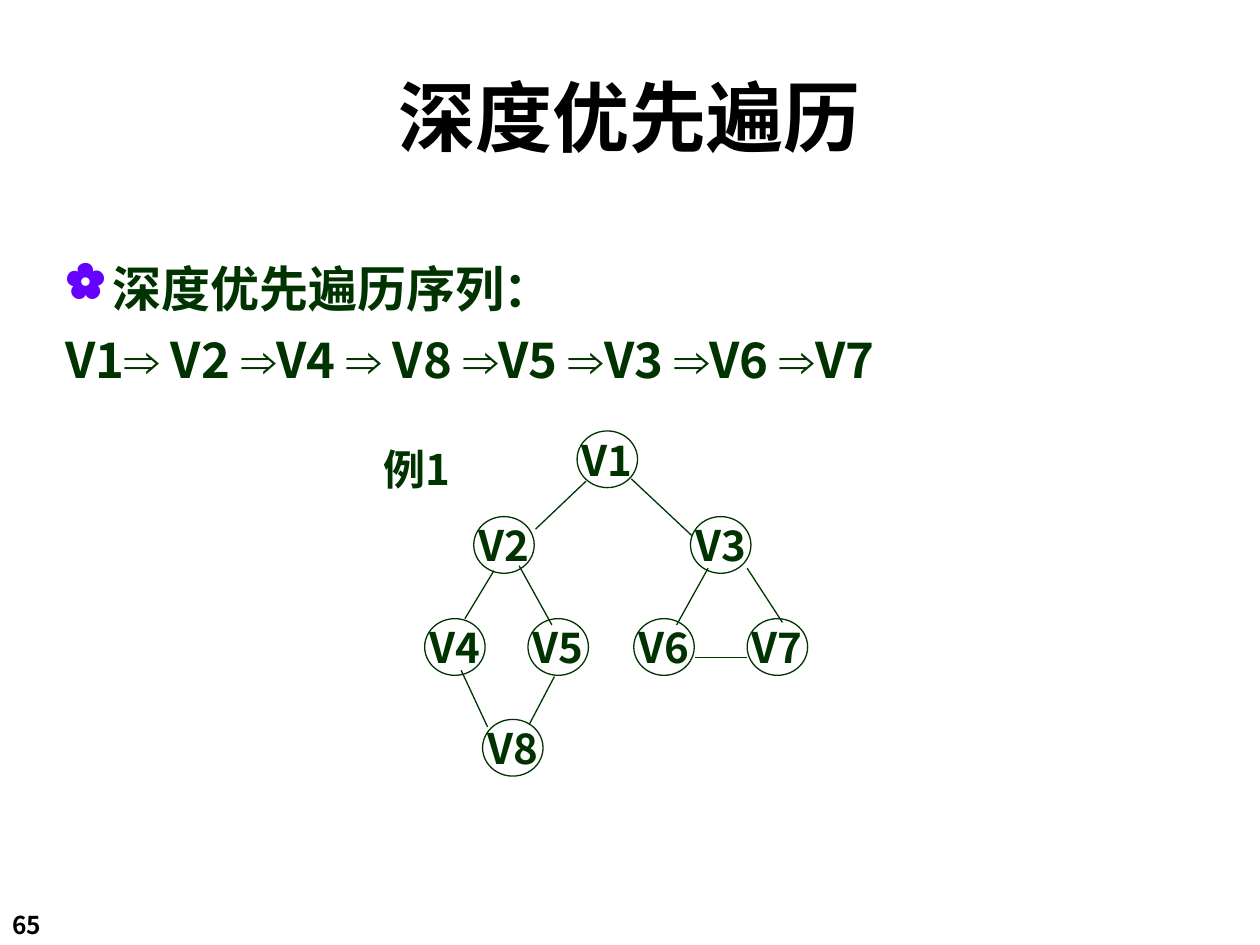
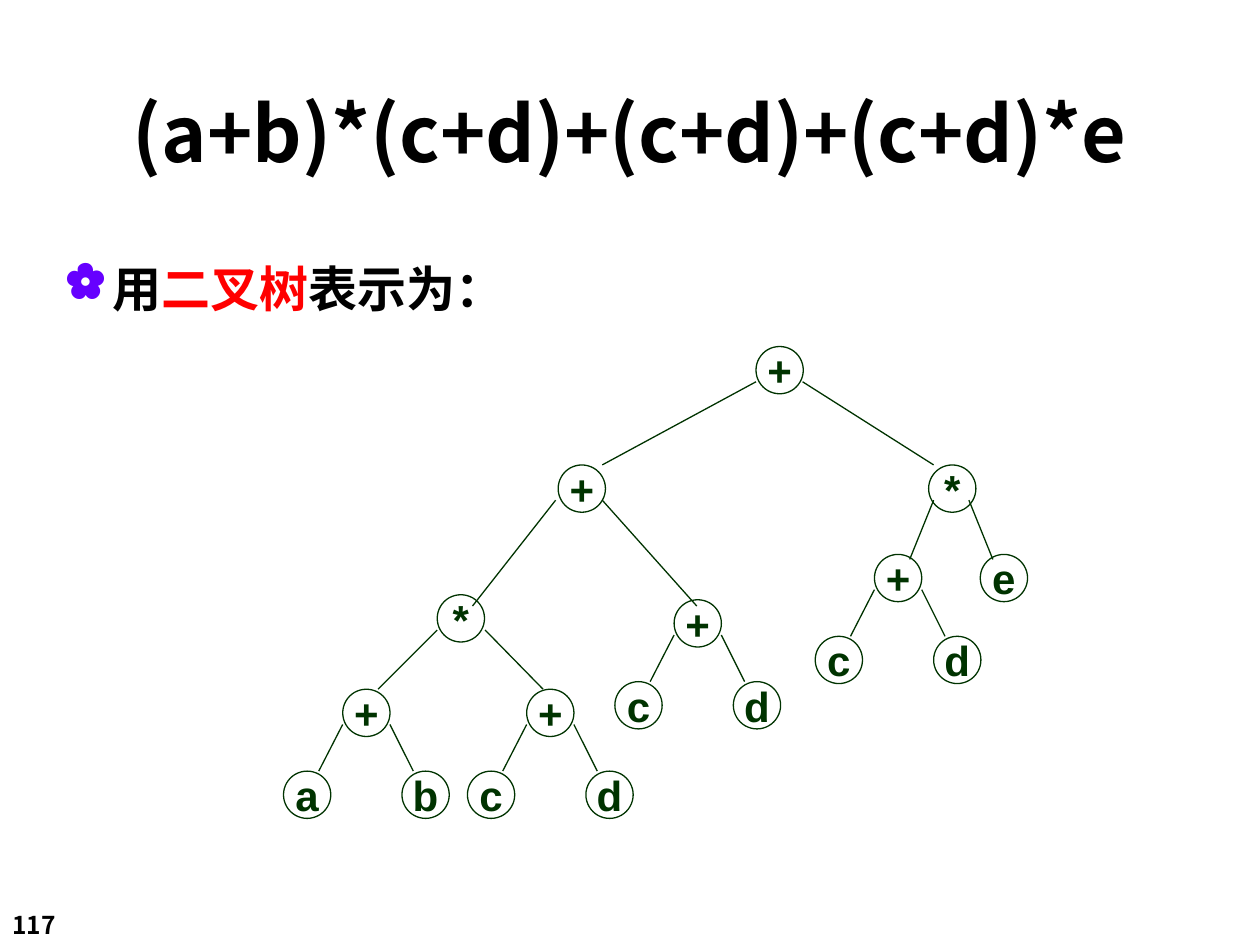
from dataclasses import dataclass

from lxml import etree
from pptx import Presentation
from pptx.dml.color import RGBColor
from pptx.enum.shapes import MSO_CONNECTOR, MSO_SHAPE
from pptx.enum.text import MSO_ANCHOR, PP_ALIGN
from pptx.oxml.ns import qn
from pptx.util import Inches, Pt

LEFT, CENTER = PP_ALIGN.LEFT, PP_ALIGN.CENTER
TOP, MIDDLE = MSO_ANCHOR.TOP, MSO_ANCHOR.MIDDLE
OVAL, CIRCLE = MSO_SHAPE.OVAL, MSO_SHAPE.FLOWCHART_CONNECTOR
STRAIGHT = MSO_CONNECTOR.STRAIGHT


@dataclass(frozen=True)
class Theme:
    black: str = "000000"
    green: str = "003300"
    red: str = "FF0000"
    violet: str = "6600FF"
    cjk: str = "Noto Sans CJK SC"
    latin: str = "Arial"
    title_size: int = 44
    body_size: int = 28
    node_size: int = 24
    page_size: int = 14
    line_width: float = 0.75


theme = Theme()
deck = Presentation()
deck.slide_width, deck.slide_height = Inches(10), Inches(7.5)
cell = deck.slide_width / 100  # square grid: 100 columns by 75 rows


def grid(*cells):
    return [round(count * cell) for count in cells]


def fill_text(box, paragraphs, size, align=LEFT, anchor=TOP, wrap=True):
    """Write paragraphs, each a list of (text, colour, font) spans."""
    frame = box.text_frame
    frame.word_wrap, frame.vertical_anchor = wrap, anchor
    for index, spans in enumerate(paragraphs):
        para = frame.add_paragraph() if index else frame.paragraphs[0]
        para.alignment = align
        for text, colour, face in spans:
            span = para.add_run()
            span.text = text
            for name, value in {"size": Pt(size), "bold": True, "name": face}.items():
                setattr(span.font, name, value)
            span.font.color.rgb = RGBColor.from_string(colour)
            east_asian = etree.SubElement(span.font._element, qn("a:ea"))
            east_asian.set("typeface", face)
    return frame


# Graph for the depth-first traversal: node corners and edges in grid cells
graph_nodes = [
    ("V1", 45.8, 34.2),
    ("V2", 37.6, 41), ("V3", 54.8, 41),
    ("V4", 33.7, 49.1), ("V5", 41.9, 49.1), ("V6", 50.3, 49.1), ("V7", 59.3, 49.1),
    ("V8", 38.3, 57.1),
]
graph_edges = [
    (46.5, 38.2, 42.5, 42), (50.1, 38, 54.9, 42.5),
    (39.2, 45.3, 36.9, 49.1), (41.2, 44.9, 43.8, 49.6),
    (36.6, 53.2, 38.7, 57.7), (44, 53.7, 42, 57.5),
    (56.2, 45.1, 53.7, 49.6), (55.2, 52.2, 59.3, 52.2), (59.3, 45.1, 62.1, 49.4),
]

# Expression tree: upper operators, then each sum of two leaves by rule
tree_nodes = [
    ("+", 60, 27.5), ("+", 44.3, 36.9), ("*", 73.7, 36.9),
    ("*", 34.7, 47.2), ("e", 77.8, 44),
]
tree_edges = [
    (60, 30.3, 47.8, 36.9), (63.7, 30.3, 74.1, 36.9),
    (44.1, 39.7, 37.5, 48.1), (47.8, 39.7, 55.3, 48.1),
    (74.1, 39.7, 72.2, 44.4), (76.9, 39.7, 78.8, 44.4),
    (34.7, 50, 30, 54.7), (38.5, 50, 43.1, 54.7),
]
for x, y, left_leaf, right_leaf in [
    (27.2, 54.7, "a", "b"), (41.8, 54.7, "c", "d"),
    (53.5, 47.6, "c", "d"), (69.4, 44, "c", "d"),
]:
    tree_nodes += [("+", x, y), (left_leaf, x - 4.7, y + 6.5), (right_leaf, x + 4.7, y + 6.5)]
    tree_edges += [(x, y + 2.8, x - 1.9, y + 6.5), (x + 3.75, y + 2.8, x + 5.6, y + 6.5)]

# Visiting order, with the arrows set in the Latin face
visits = ["V1", " V2 ", "V4 ", " V8 ", "V5 ", "V3 ", "V6 ", "V7"]
sequence = [(visits[0], theme.green, theme.cjk)]
for visit in visits[1:]:
    sequence += [("⇒", theme.green, theme.latin), (visit, theme.green, theme.cjk)]

pages = [
    {
        "number": "65",
        "title": "深度优先遍历", "title_at": (4.2, 4.2, 91.6, 10),
        "body": [[("深度优先遍历序列：", theme.green, theme.cjk)], sequence],
        "body_at": (4.2, 20, 91.6, 13.3),
        "nodes": graph_nodes, "edges": graph_edges,
        "outline": OVAL, "node_extent": (4.8, 4.5), "node_font": theme.cjk,
        "caption": "例1",
    },
    {
        "number": "117",
        "title": "(a+b)*(c+d)+(c+d)+(c+d)*e", "title_at": (4.2, 6.7, 91.6, 7.5),
        "body": [[("用", theme.black, theme.cjk), ("二叉树", theme.red, theme.cjk),
                  ("表示为：", theme.black, theme.cjk)]],
        "body_at": (4.2, 20, 42.5, 6.6),
        "nodes": tree_nodes, "edges": tree_edges,
        "outline": CIRCLE, "node_extent": (3.75, 3.75), "node_font": theme.latin,
        "caption": None,
    },
]

for page in pages:
    slide = deck.slides.add_slide(deck.slide_layouts[6])
    shapes = slide.shapes

    number_box = shapes.add_textbox(*grid(0, 71.7, 8.3, 3.4))
    fill_text(number_box, [[(page["number"], theme.black, theme.cjk)]], theme.page_size)

    title_box = shapes.add_textbox(*grid(*page["title_at"]))
    fill_text(title_box, [[(page["title"], theme.black, theme.cjk)]],
              theme.title_size, CENTER, MIDDLE)

    body_box = shapes.add_textbox(*grid(*page["body_at"]))
    body = fill_text(body_box, page["body"], theme.body_size)
    indent = grid(3.75)[0]
    for index, para in enumerate(body.paragraphs):
        properties = para._p.get_or_add_pPr()
        properties.set("marL", str(indent))
        properties.set("indent", str(-indent))
        if index:
            para.space_before = Pt(7)
        else:
            bullet_colour = etree.SubElement(properties, qn("a:buClr"))
            etree.SubElement(bullet_colour, qn("a:srgbClr")).set("val", theme.violet)
            etree.SubElement(properties, qn("a:buChar")).set("char", "✿")

    for label, x, y in page["nodes"]:
        node = shapes.add_shape(page["outline"], *grid(x, y, *page["node_extent"]))
        node.shadow.inherit = False
        node.fill.background()
        node.line.color.rgb = RGBColor.from_string(theme.green)
        node.line.width = Pt(theme.line_width)
        fill_text(node, [[(label, theme.green, page["node_font"])]],
                  theme.node_size, CENTER, MIDDLE, wrap=False)

    for ends in page["edges"]:
        edge = shapes.add_connector(STRAIGHT, *grid(*ends))
        edge.line.color.rgb = RGBColor.from_string(theme.green)
        edge.line.width = Pt(theme.line_width)
        etree.SubElement(edge._element.spPr, qn("a:effectLst"))

    if page["caption"]:
        caption_box = shapes.add_textbox(*grid(29, 34.7, 8.1, 5))
        fill_text(caption_box, [[(page["caption"], theme.green, theme.cjk)]],
                  theme.node_size, CENTER, MIDDLE, wrap=False)

deck.save("out.pptx")
